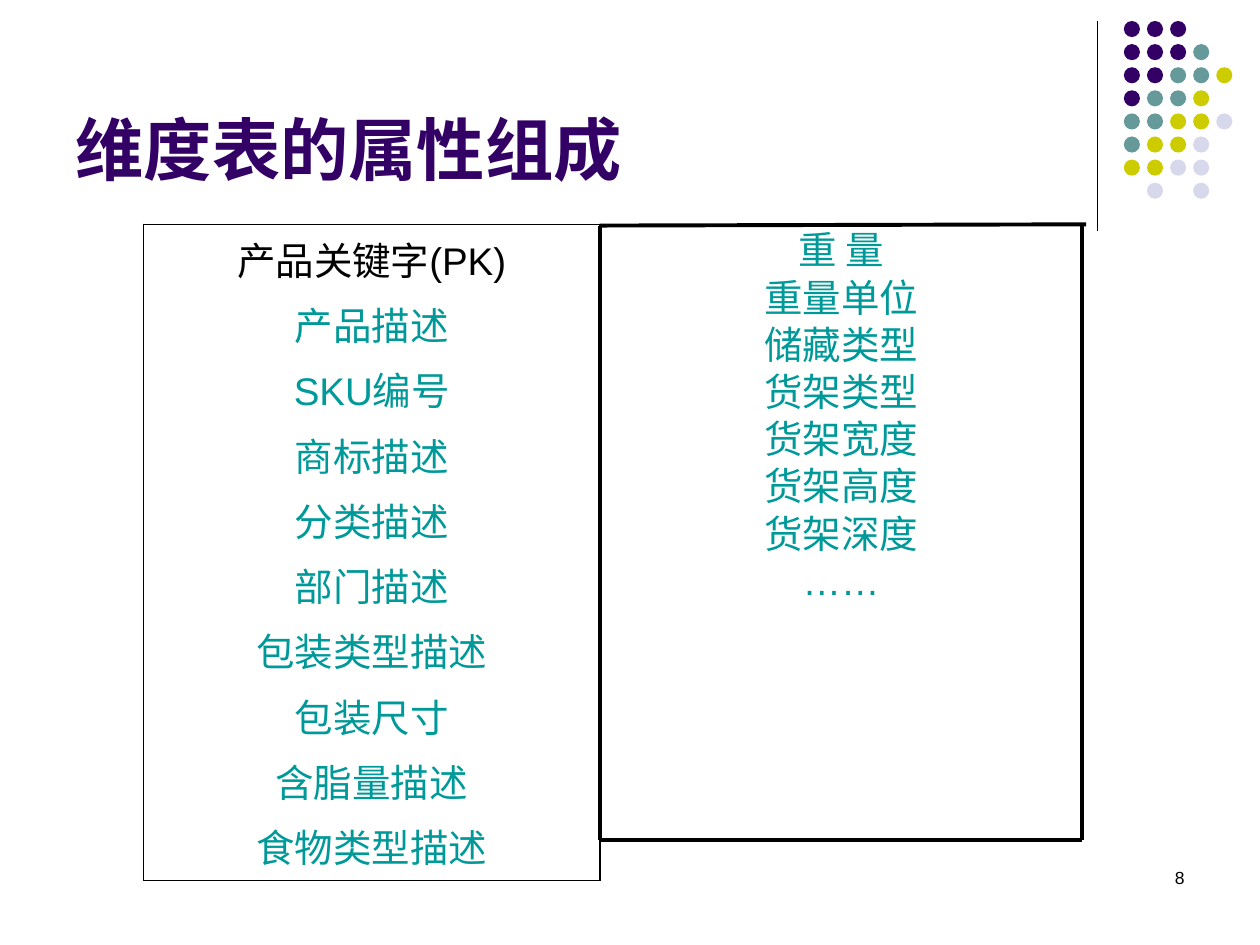
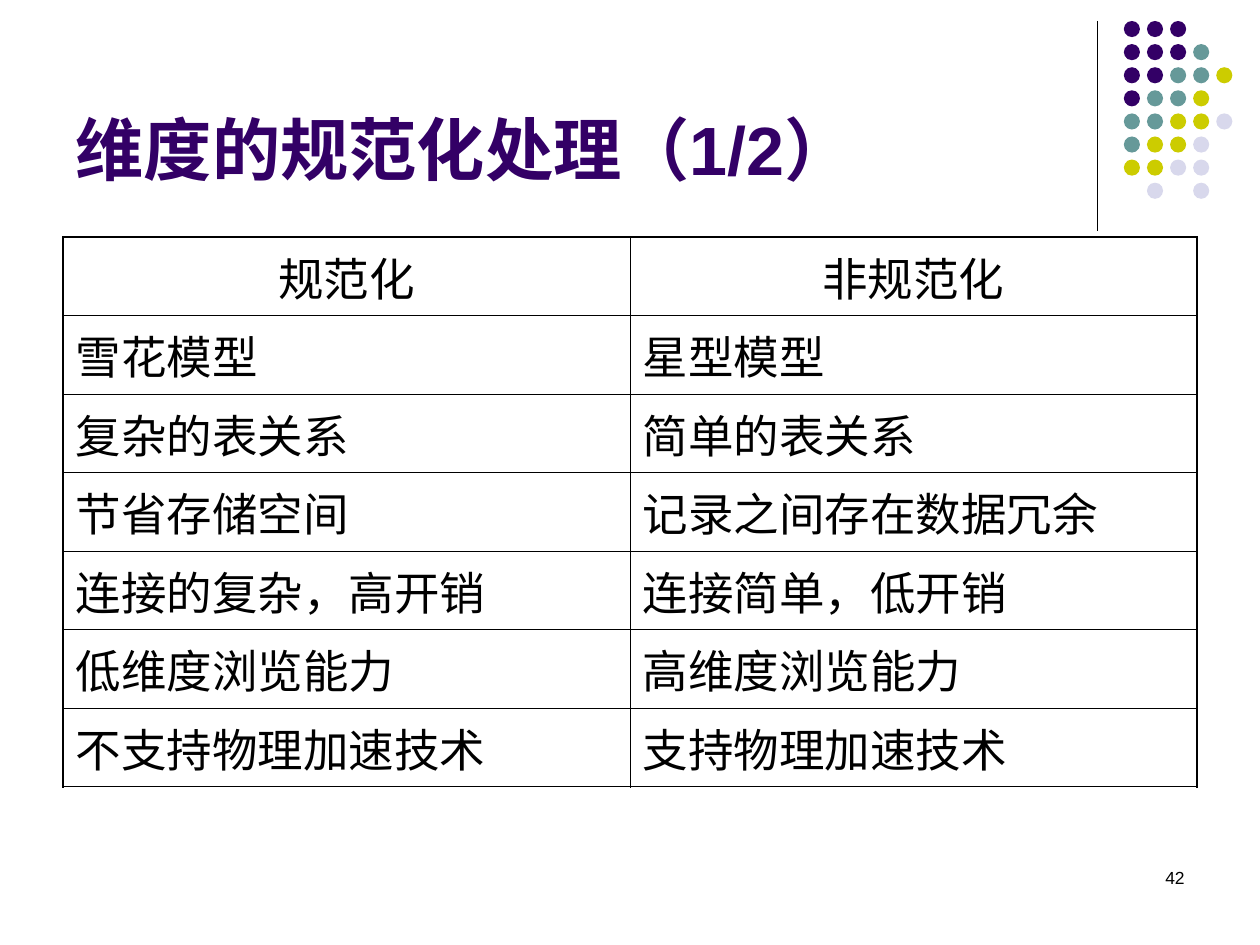
from lxml import etree
from pptx import Presentation
from pptx.dml.color import RGBColor
from pptx.enum import shapes, text
from pptx.oxml.ns import qn
from pptx.util import Pt

FONT = "Arial"
BLACK, PURPLE, TEAL = "000000", "330066", "009999"
THICK, THIN = 1.08, 0.45

DOT_COLOURS = {"P": PURPLE, "T": "669999", "Y": "CCCC00", "L": "D8D8EC"}
DOT_ROWS = ["PPP", "PPPT", "PPTTY", "PTTY", "TTYYL", "TYYL", "YYLL", " L L"]
DOT_LEFT, DOT_TOP, DOT_PITCH, DOT_SIZE = 642.2, 12, 13.2, 9.2

ATTRIBUTES = {
    "title": "维度表的属性组成",
    "number": "8",
    "left": ["产品关键字(PK)", "产品描述", "SKU编号", "商标描述", "分类描述",
             "部门描述", "包装类型描述", "包装尺寸", "含脂量描述", "食物类型描述"],
    "right": ["重 量", "重量单位", "储藏类型", "货架类型", "货架宽度",
              "货架高度", "货架深度", "……"],
}
NORMALIZATION = {
    "title": "维度的规范化处理（1/2）",
    "number": "42",
    "rows": [
        ("规范化", "非规范化"),
        ("雪花模型", "星型模型"),
        ("复杂的表关系", "简单的表关系"),
        ("节省存储空间", "记录之间存在数据冗余"),
        ("连接的复杂，高开销", "连接简单，低开销"),
        ("低维度浏览能力", "高维度浏览能力"),
        ("不支持物理加速技术", "支持物理加速技术"),
    ],
}


def rgb(colour):
    return RGBColor.from_string(colour)


def write(frame, lines, size, colour=BLACK, align=text.PP_ALIGN.LEFT,
          bold=False, space_before=0, line_spacing=None):
    frame.text = "\n".join(lines)
    for paragraph in frame.paragraphs:
        paragraph.alignment = align
        paragraph.space_before = Pt(space_before)
        paragraph.line_spacing = line_spacing
        for run in paragraph.runs:
            run.font.name = FONT
            run.font.size = Pt(size)
            run.font.bold = bold
            run.font.color.rgb = rgb(colour)


def add_text_box(slide, left, top, width, height):
    box = slide.shapes.add_textbox(Pt(left), Pt(top), Pt(width), Pt(height))
    box.text_frame.word_wrap = True
    return box.text_frame


def add_line(parent, start, end, width):
    line = parent.shapes.add_connector(
        shapes.MSO_CONNECTOR.STRAIGHT, *map(Pt, start + end))
    line.line.color.rgb = rgb(BLACK)
    line.line.width = Pt(width)
    etree.SubElement(line.element.spPr, qn("a:effectLst"))
    return line


def add_dots(slide):
    group = slide.shapes.add_group_shape()
    for row, codes in enumerate(DOT_ROWS):
        for column, code in enumerate(codes):
            if code == " ":
                continue
            dot = group.shapes.add_shape(
                shapes.MSO_SHAPE.OVAL,
                Pt(DOT_LEFT + column * DOT_PITCH), Pt(DOT_TOP + row * DOT_PITCH),
                Pt(DOT_SIZE), Pt(DOT_SIZE))
            dot.shadow.inherit = False
            dot.fill.solid()
            dot.fill.fore_color.rgb = rgb(DOT_COLOURS[code])
            dot.line.fill.background()
    return group


def decorate_layout(layout, slide):
    """Draw the shared corner on a slide, then move it to the layout."""
    corner = [add_line(slide, (627.1, 12), (627.1, 132), 0.75), add_dots(slide)]
    for part in corner:
        layout.shapes.element.append(part.element)


def fill_frame(slide, content):
    title = slide.shapes.title
    title.left, title.top, title.width, title.height = map(Pt, (36, 9.4, 594, 102.2))
    frame = title.text_frame
    write(frame, [content["title"]], 39, PURPLE, bold=True)
    frame.vertical_anchor = text.MSO_ANCHOR.BOTTOM
    frame.auto_size = text.MSO_AUTO_SIZE.NONE
    number = add_text_box(slide, 516, 492, 168, 36)
    write(number, [content["number"]], 10, align=text.PP_ALIGN.RIGHT)


def set_borders(cell, widths):
    """Widths run left, right, top, bottom, the order the schema asks for."""
    properties = cell._tc.get_or_add_tcPr()
    for position, (side, width) in enumerate(zip("LRTB", widths)):
        border = etree.Element(qn("a:ln" + side), w=str(Pt(width)))
        fill = etree.SubElement(border, qn("a:solidFill"))
        etree.SubElement(fill, qn("a:srgbClr"), val=BLACK)
        properties.insert(position, border)


def add_grid(slide, rows, columns, left, top, column_width, row_height):
    """Add an unfilled table with a thick outline and thin inner rules."""
    table = slide.shapes.add_table(
        rows, columns, Pt(left), Pt(top),
        Pt(column_width * columns), Pt(row_height * rows)).table
    table.first_row = table.horz_banding = False
    for row in table.rows:
        row.height = Pt(row_height)
    for r in range(rows):
        for c in range(columns):
            cell = table.cell(r, c)
            cell.fill.background()
            outer = (c == 0, c == columns - 1, r == 0, r == rows - 1)
            set_borders(cell, [THICK if edge else THIN for edge in outer])
    return table


def build_attributes(slide):
    table = add_grid(slide, 1, 1, 82.1, 128.2, 260.6, 375)
    key_list = table.cell(0, 0).text_frame
    write(key_list, ATTRIBUTES["left"], 22, TEAL, text.PP_ALIGN.CENTER,
          space_before=5.5)
    key_list.paragraphs[0].runs[0].font.color.rgb = rgb(BLACK)

    left, top, width, height = 342.7, 128.9, 275.8, 351
    right, bottom = left + width, top + height
    more = add_text_box(slide, left, top, width, height)
    write(more, ATTRIBUTES["right"], 22, TEAL, text.PP_ALIGN.CENTER,
          space_before=3.2, line_spacing=0.9)
    for start, end in [((left, top), (right + 2.2, top - 0.7)),
                       ((left, bottom), (right, bottom)),
                       ((left, top), (left, bottom)),
                       ((right, top), (right, bottom))]:
        add_line(slide, start, end, 2.25)


def build_normalization(slide):
    rows = NORMALIZATION["rows"]
    table = add_grid(slide, len(rows), 2, 36, 135.4, 324, 44.9)
    for r, values in enumerate(rows):
        align = text.PP_ALIGN.LEFT if r else text.PP_ALIGN.CENTER
        for c, value in enumerate(values):
            write(table.cell(r, c).text_frame, [value], 26, align=align,
                  space_before=6.5)


def main():
    presentation = Presentation()
    presentation.slide_width, presentation.slide_height = Pt(720), Pt(540)
    layout = presentation.slide_layouts.get_by_name("Title Only")
    pages = [(ATTRIBUTES, build_attributes), (NORMALIZATION, build_normalization)]
    for index, (content, build) in enumerate(pages):
        slide = presentation.slides.add_slide(layout)
        if index == 0:
            decorate_layout(layout, slide)
        fill_frame(slide, content)
        build(slide)
    presentation.save("out.pptx")


if __name__ == "__main__":
    main()
